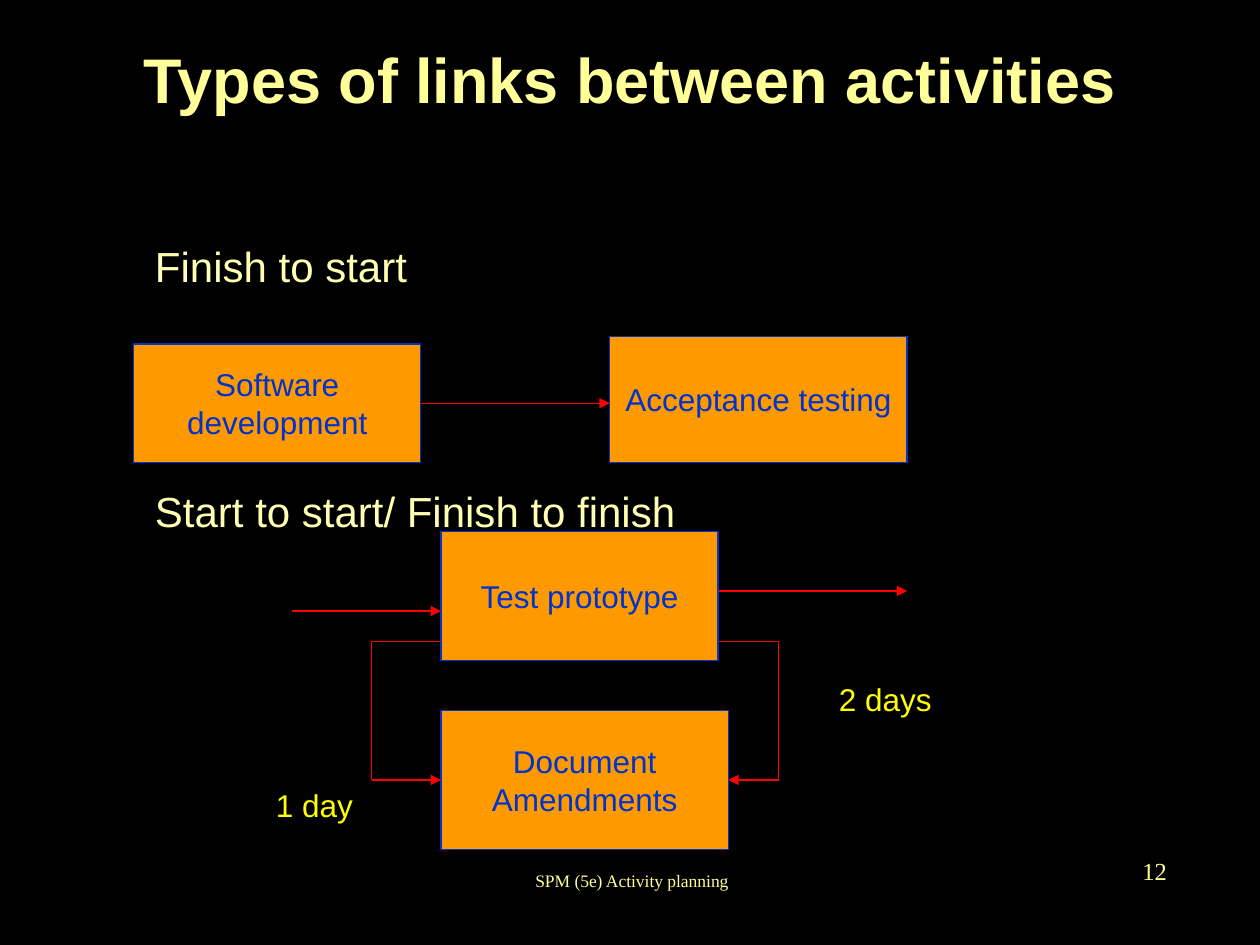
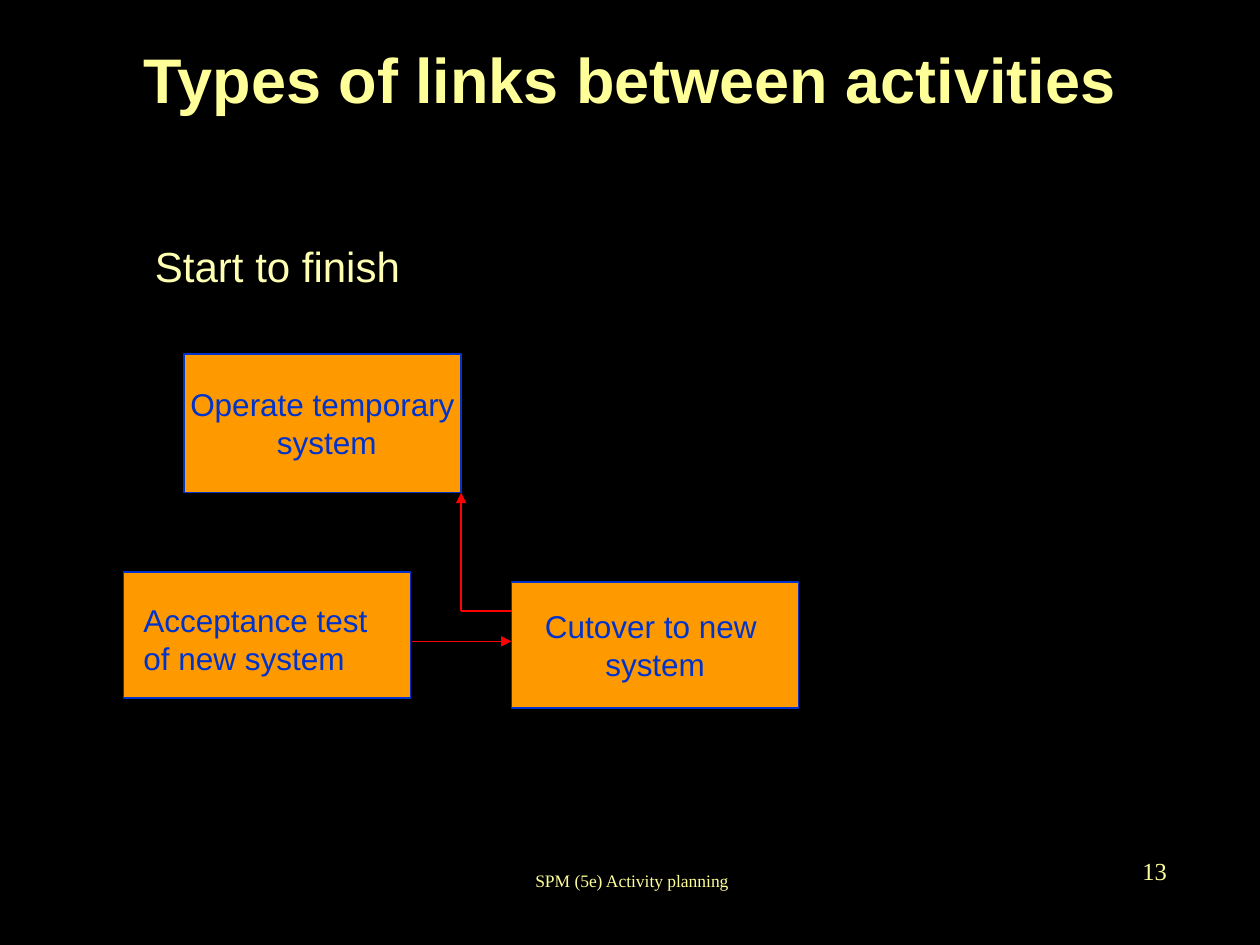
from dataclasses import dataclass
from typing import Optional

from lxml import etree
from pptx import Presentation
from pptx import util as u
from pptx.dml.color import RGBColor
from pptx.enum import shapes, text as txt
from pptx.oxml import ns

Point = tuple[float, float]
TOP, LEFT, BOTTOM, RIGHT = range(4)


@dataclass(frozen=True)
class Theme:
    background: str = "000000"
    title: str = "FFFF99"
    heading: str = "FFFFB3"
    box: str = "FF9900"
    box_ink: str = "0033CC"
    arrow: str = "FF0000"
    lag: str = "FFFF00"
    sans: str = "Arial"
    serif: str = "Times New Roman"
    title_size: int = 36
    heading_size: int = 24
    label_size: int = 18
    number_size: int = 14
    footer_size: int = 10
    heading_gap: int = 111
    line_width: float = 0.75


@dataclass(frozen=True)
class Activity:
    name: str
    left: float
    top: float
    width: float
    height: float
    label: str = ""


@dataclass(frozen=True)
class Label:
    label: str
    left: float
    top: float
    width: float
    height: float
    color: str


@dataclass(frozen=True)
class Link:
    """A route of straight lines with an arrowhead at its last point."""
    points: tuple[Point, ...]
    begin: Optional[tuple[str, int]] = None
    end: Optional[tuple[str, int]] = None


@dataclass(frozen=True)
class LinkSlide:
    number: int
    headings: str
    activities: tuple[Activity, ...]
    links: tuple[Link, ...]
    labels: tuple[Label, ...]


THEME = Theme()
TITLE = "Types of links between activities"
FOOTER = "SPM (5e) Activity planning"

SLIDES = (
    LinkSlide(
        12,
        "Finish to start\nStart to start/ Finish to finish",
        (
            Activity("software", 1.06, 2.73, 2.28, 0.94, "Software\ndevelopment"),
            Activity("acceptance", 4.84, 2.67, 2.36, 1, "Acceptance testing"),
            Activity("prototype", 3.5, 4.22, 2.2, 1.02, "Test prototype"),
            Activity("document", 3.5, 5.64, 2.28, 1.1, "Document\nAmendments"),
        ),
        (
            Link(((3.34, 3.2), (4.84, 3.2)), begin=("software", RIGHT)),
            Link(((2.32, 4.85), (3.5, 4.85))),
            Link(((3.5, 5.09), (2.95, 5.09), (2.95, 6.19), (3.5, 6.19)),
                 end=("document", LEFT)),
            Link(((5.71, 5.09), (6.18, 5.09), (6.18, 6.19), (5.78, 6.19)),
                 end=("document", RIGHT)),
            Link(((5.71, 4.69), (7.2, 4.69))),
        ),
        (
            Label("1 day", 2.09, 6.19, 0.81, 0.4, THEME.lag),
            Label("2 days", 6.56, 5.35, 0.93, 0.4, THEME.lag),
        ),
    ),
    LinkSlide(
        13,
        "Start to finish",
        (
            Activity("operate", 1.46, 2.81, 2.2, 1.1, "Operate temporary\n system"),
            Activity("acceptance", 0.98, 4.54, 2.28, 1),
            Activity("cutover", 4.06, 4.62, 2.28, 1, "Cutover to new \nsystem"),
        ),
        (
            Link(((3.27, 5.09), (4.06, 5.09))),
            Link(((4.06, 4.85), (3.66, 4.85), (3.66, 3.91))),
        ),
        (Label("Acceptance test\nof new system", 1.04, 4.72, 1.98, 0.7, THEME.box_ink),),
    ),
)


def rgb(color: str) -> RGBColor:
    return RGBColor.from_string(color)


def inches(*lengths: float) -> list[u.Length]:
    return [u.Inches(length) for length in lengths]


def write_text(tf, content: str, *, size: int, color: str, font: str = THEME.sans,
               bold: bool = False, align=txt.PP_ALIGN.LEFT, anchor=txt.MSO_ANCHOR.TOP,
               wrap: bool = True, gap: float = 0) -> None:
    """Write one paragraph per line; gap is the space in points between them."""
    tf.auto_size = txt.MSO_AUTO_SIZE.NONE
    tf.word_wrap = wrap
    tf.vertical_anchor = anchor
    for i, line in enumerate(content.split("\n")):
        p = tf.add_paragraph() if i else tf.paragraphs[0]
        p.alignment = align
        p.space_before = u.Pt(gap if i else 0)
        r = p.add_run()
        r.text = line
        r.font.name, r.font.size, r.font.bold = font, u.Pt(size), bold
        r.font.color.rgb = rgb(color)


def place(sp, left: float, top: float, width: float, height: float) -> None:
    sp.left, sp.top, sp.width, sp.height = inches(left, top, width, height)


def add_label(slide, item: Label) -> None:
    sp = slide.shapes.add_textbox(*inches(item.left, item.top, item.width, item.height))
    write_text(sp.text_frame, item.label, size=THEME.label_size, color=item.color, wrap=False)


def add_activity(slide, item: Activity):
    sp = slide.shapes.add_shape(shapes.MSO_SHAPE.RECTANGLE,
                                *inches(item.left, item.top, item.width, item.height))
    sp.shadow.inherit = False
    sp.fill.solid()
    sp.fill.fore_color.rgb = rgb(THEME.box)
    sp.line.color.rgb = rgb(THEME.box_ink)
    sp.line.width = u.Pt(THEME.line_width)
    if item.label:
        write_text(sp.text_frame, item.label, size=THEME.label_size, color=THEME.box_ink,
                   align=txt.PP_ALIGN.CENTER, anchor=txt.MSO_ANCHOR.MIDDLE, wrap=False)
    return sp


def add_line(slide, start: Point, end: Point):
    line = slide.shapes.add_connector(shapes.MSO_CONNECTOR.STRAIGHT, *inches(*start, *end))
    line.line.color.rgb = rgb(THEME.arrow)
    line.line.width = u.Pt(THEME.line_width)
    etree.SubElement(line._element.spPr, ns.qn("a:effectLst"))
    return line


def add_link(slide, link: Link, boxes: dict) -> None:
    lines = [add_line(slide, a, b) for a, b in zip(link.points, link.points[1:])]
    etree.SubElement(lines[-1].line._get_or_add_ln(), ns.qn("a:tailEnd"), type="triangle")
    if link.begin:
        name, side = link.begin
        lines[0].begin_connect(boxes[name], side)
    if link.end:
        name, side = link.end
        lines[-1].end_connect(boxes[name], side)


def add_headings(slide, headings: str) -> None:
    body = slide.placeholders[1]
    place(body, 0.75, 1.86, 8.5, 4.83)
    tf = body.text_frame
    write_text(tf, headings, size=THEME.heading_size, color=THEME.heading,
               gap=THEME.heading_gap)
    for p in tf.paragraphs:
        props = p._p.get_or_add_pPr()
        props.set("marL", str(u.Inches(0.38)))
        props.set("indent", "0")
        etree.SubElement(props, ns.qn("a:buNone"))


def add_frame(slide, number: int) -> None:
    """Add the title, footer and slide number that every slide has."""
    place(slide.shapes.title, 0.75, 0, 8.5, 1.25)
    write_text(slide.shapes.title.text_frame, TITLE, size=THEME.title_size,
               color=THEME.title, bold=True, align=txt.PP_ALIGN.CENTER,
               anchor=txt.MSO_ANCHOR.MIDDLE)
    for content, at, size, align in (
        (FOOTER, (3.43, 6.74, 3.17, 0.5), THEME.footer_size, txt.PP_ALIGN.CENTER),
        (str(number), (7.28, 6.66, 2.08, 0.5), THEME.number_size, txt.PP_ALIGN.RIGHT),
    ):
        sp = slide.shapes.add_textbox(*inches(*at))
        write_text(sp.text_frame, content, size=size, color=THEME.title, font=THEME.serif,
                   align=align, anchor=txt.MSO_ANCHOR.MIDDLE)


def add_slide(prs, content: LinkSlide) -> None:
    slide = prs.slides.add_slide(prs.slide_layouts[1])
    add_frame(slide, content.number)
    add_headings(slide, content.headings)
    boxes = {item.name: add_activity(slide, item) for item in content.activities}
    for link in content.links:
        add_link(slide, link, boxes)
    for label in content.labels:
        add_label(slide, label)


def main() -> None:
    prs = Presentation()
    prs.slide_width, prs.slide_height = inches(10, 7.5)
    fill = prs.slide_master.background.fill
    fill.solid()
    fill.fore_color.rgb = rgb(THEME.background)
    for content in SLIDES:
        add_slide(prs, content)
    prs.save("out.pptx")


if __name__ == "__main__":
    main()
